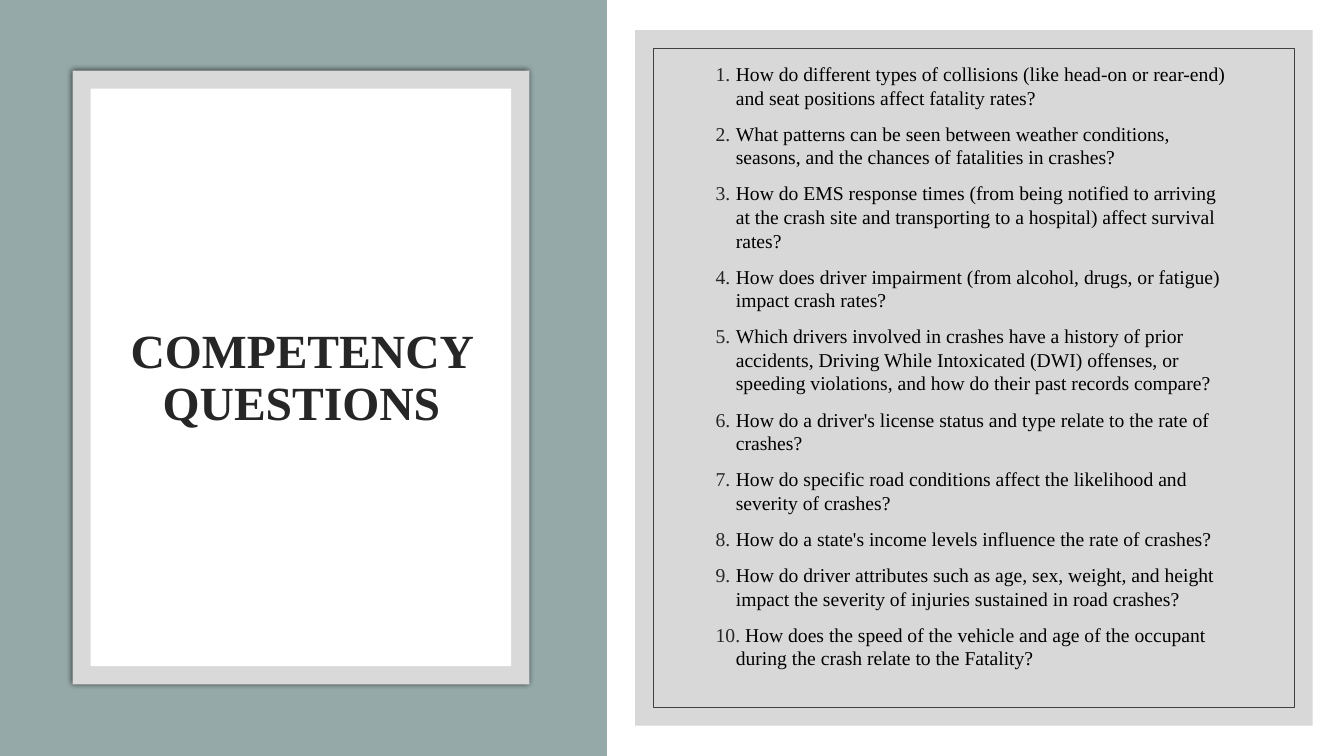
from lxml import etree
from pptx import Presentation
from pptx import util as u
from pptx.dml.color import RGBColor
from pptx.enum import shapes, text
from pptx.oxml import ns

QUESTIONS = [
    "How do different types of collisions (like head-on or rear-end) and seat positions affect fatality rates?",
    "What patterns can be seen between weather conditions, seasons, and the chances of fatalities in crashes?",
    "How do EMS response times (from being notified to arriving at the crash site and transporting to a hospital) affect survival rates?",
    "How does driver impairment (from alcohol, drugs, or fatigue) impact crash rates?",
    "Which drivers involved in crashes have a history of prior accidents, Driving While Intoxicated (DWI) offenses, or speeding violations, and how do their past records compare?",
    "How do a driver's license status and type relate to the rate of crashes?",
    "How do specific road conditions affect the likelihood and severity of crashes?",
    "How do a state's income levels influence the rate of crashes?",
    "How do driver attributes such as age, sex, weight, and height impact the severity of injuries sustained in road crashes?",
    " How does the speed of the vehicle and age of the occupant during the crash relate to the Fatality?",
]


def color(value):
    return RGBColor.from_string(value)


def add_element(parent, tag, **attributes):
    return etree.SubElement(parent, ns.qn(tag), attributes)


def apply(target, values):
    for name, value in values.items():
        setattr(target, name, value)


class QuestionPage:
    font_name = "Times New Roman"
    ink = "262626"

    def __init__(self, deck):
        self.page = deck.slides.add_slide(deck.slide_layouts[6])

    def panel(self, area, fill=None, line=None, opacity=None, glow=False):
        box = self.page.shapes.add_shape(
            shapes.MSO_SHAPE.RECTANGLE, *map(u.Inches, area))
        box.shadow.inherit = False
        if fill:
            box.fill.solid()
            box.fill.fore_color.rgb = color(fill)
        else:
            box.fill.background()
        if line:
            box.line.color.rgb = color(line)
            box.line.width = u.Pt(0.5)
        else:
            box.line.fill.background()
        properties = box._element.spPr
        if opacity:
            tone = properties.find(".//" + ns.qn("a:srgbClr"))
            add_element(tone, "a:alpha", val=str(opacity * 1000))
        if glow:
            effects = properties.find(ns.qn("a:effectLst"))
            shadow = add_element(effects, "a:outerShdw", blurRad=str(u.Pt(4)),
                                 dist="0", dir="0", algn="ctr", rotWithShape="0")
            tone = add_element(shadow, "a:srgbClr", val="000000")
            add_element(tone, "a:alpha", val="66000")

    def number(self, para):
        properties = para._p.get_or_add_pPr()
        apply_indent = {"marL": u.Inches(0.2), "indent": -u.Inches(0.2)}
        for name, value in apply_indent.items():
            properties.set(name, str(value))
        tone = add_element(properties, "a:buClr")
        add_element(tone, "a:srgbClr", val=self.ink)
        add_element(properties, "a:buFont", typeface=self.font_name)
        add_element(properties, "a:buAutoNum", type="arabicPeriod")

    def text(self, area, lines, size, tone, para_format, gap=0, bold=False,
             numbered=False, bottom=0.05):
        box = self.page.shapes.add_textbox(*map(u.Inches, area))
        frame = box.text_frame
        apply(frame, {"word_wrap": True,
                      "vertical_anchor": text.MSO_ANCHOR.MIDDLE,
                      "margin_bottom": u.Inches(bottom)})
        for index, line in enumerate(lines):
            para = frame.add_paragraph() if index else frame.paragraphs[0]
            if numbered:
                self.number(para)
            apply(para, para_format)
            para.space_before = u.Pt(gap if index else 0)
            span = para.add_run()
            span.text = line
            apply(span.font, {"name": self.font_name, "size": u.Pt(size),
                              "bold": bold})
            span.font.color.rgb = color(tone)


def main():
    deck = Presentation()
    apply(deck, {"slide_width": u.Inches(13.33), "slide_height": u.Inches(7.5)})
    page = QuestionPage(deck)

    page.panel((0, 0, 13.33, 7.5), "FFFFFF")
    page.panel((-0.01, 0, 6.03, 7.5), "96A9A9")
    page.panel((0.72, 0.7, 4.53, 6.09), "D9D9D9", glow=True)
    page.panel((0.9, 0.88, 4.17, 5.73), "FFFFFF")
    page.text((1.08, 1.3, 3.82, 4.91), ["COMPETENCY QUESTIONS"], 34, page.ink,
              {"alignment": text.PP_ALIGN.CENTER, "line_spacing": u.Pt(37)},
              bold=True)

    page.panel((6.3, 0.3, 6.72, 6.9), "BFBFBF", opacity=60)
    page.panel((6.48, 0.48, 6.36, 6.54), line="404040")
    page.text((7, 1.02, 5.33, 5.45), QUESTIONS, 14, "000000",
              {"alignment": text.PP_ALIGN.LEFT, "line_spacing": u.Pt(16.8)},
              gap=9, numbered=True, bottom=0.28)
    deck.save("out.pptx")


if __name__ == "__main__":
    main()
